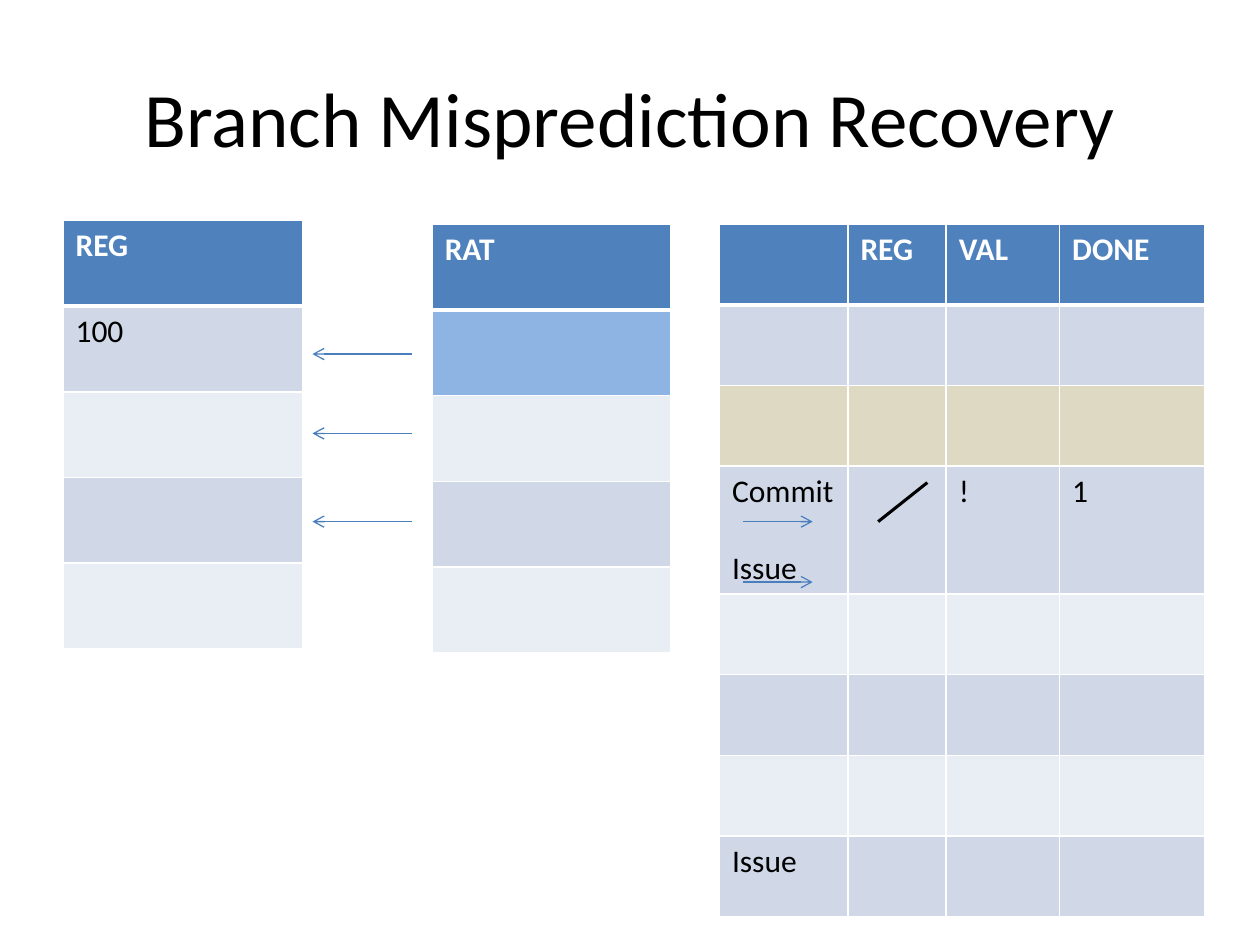
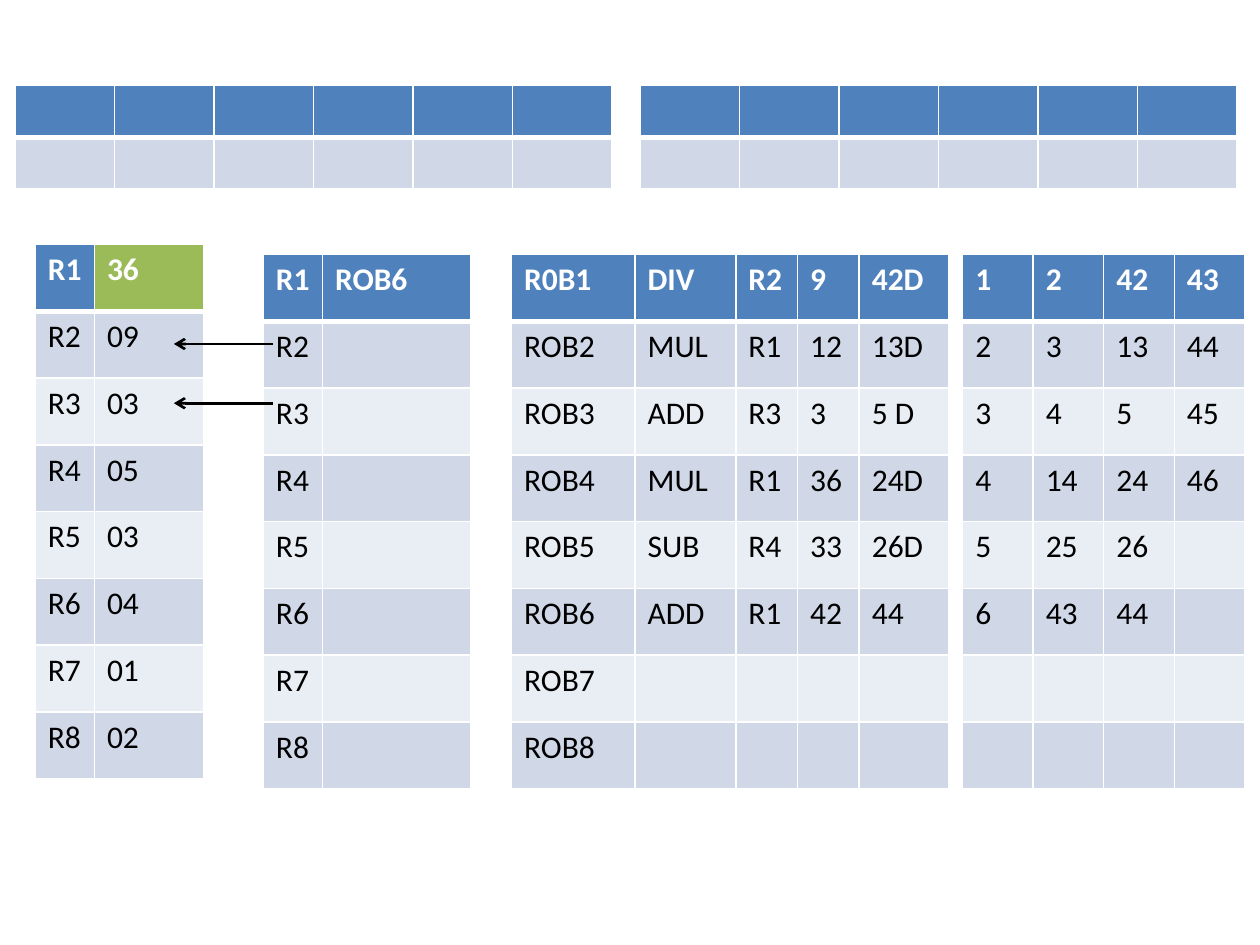
"""Build two slides on branch misprediction recovery with register tables."""
from dataclasses import dataclass, field
from itertools import zip_longest

from lxml import etree
from pptx import Presentation
from pptx import util as u
from pptx.dml.color import RGBColor
from pptx.enum import shapes, text
from pptx.oxml.ns import qn
from pptx.slide import Slide

FONT = "Calibri"
BLACK, WHITE = "000000", "FFFFFF"
HEADER, BAND_DARK, BAND_LIGHT = "4F81BD", "D0D8E8", "E9EDF4"
RENAMED, SQUASHED, WRITTEN = "8EB4E3", "DDD9C3", "9BBB59"
POINTER = "4B7EBC"


@dataclass(frozen=True)
class Grid:
    left: float
    top: float
    columns: tuple[float, ...]
    row_height: float
    rows: list[tuple[str, ...]]
    highlights: dict[tuple[int, int], str] = field(default_factory=dict)


@dataclass(frozen=True)
class Stroke:
    start: tuple[float, float]
    end: tuple[float, float]
    color: str = POINTER
    width: float = 0.75
    arrow: bool = True


def rgb(color: str) -> RGBColor:
    return RGBColor.from_string(color)


def style_text(frame, size: float, color: str, bold: bool = False) -> None:
    for paragraph in frame.paragraphs:
        for run in paragraph.runs:
            run.font.name = FONT
            run.font.size = u.Pt(size)
            run.font.bold = bold
            run.font.color.rgb = rgb(color)


def set_borders(cell, top: float, bottom: float) -> None:
    properties = cell._tc.get_or_add_tcPr()
    sides = {"lnL": 1, "lnR": 1, "lnT": top, "lnB": bottom}
    for position, (side, width) in enumerate(sides.items()):
        border = etree.Element(qn(f"a:{side}"), w=str(u.Pt(width)))
        fill = etree.SubElement(border, qn("a:solidFill"))
        etree.SubElement(fill, qn("a:srgbClr"), val=WHITE)
        properties.insert(position, border)


def draw_grid(slide: Slide, grid: Grid) -> None:
    row_count, column_count = len(grid.rows), len(grid.columns)
    table = slide.shapes.add_table(
        row_count, column_count, u.Inches(grid.left), u.Inches(grid.top),
        u.Inches(sum(grid.columns)), u.Inches(grid.row_height * row_count)).table
    table.horz_banding = False
    for column, width in zip(table.columns, grid.columns):
        column.width = u.Inches(width)
    for r, entries in enumerate(grid.rows):
        table.rows[r].height = u.Inches(grid.row_height)
        is_header = r == 0
        band = HEADER if is_header else (BAND_LIGHT, BAND_DARK)[r % 2]
        for c, (_, entry) in enumerate(zip_longest(grid.columns, entries, fillvalue="")):
            cell = table.cell(r, c)
            cell.fill.solid()
            cell.fill.fore_color.rgb = rgb(grid.highlights.get((r, c), band))
            set_borders(cell, 3 if r == 1 else 1, 3 if is_header else 1)
            if entry:
                cell.text_frame.text = entry
                style_text(cell.text_frame, 18, WHITE if is_header else BLACK, is_header)
                for later in cell.text_frame.paragraphs[1:]:
                    later.space_before = u.Pt(22)


def draw_stroke(slide: Slide, stroke: Stroke) -> None:
    points = [u.Inches(value) for value in (*stroke.start, *stroke.end)]
    connector = slide.shapes.add_connector(shapes.MSO_CONNECTOR.STRAIGHT, *points)
    connector.line.color.rgb = rgb(stroke.color)
    connector.line.width = u.Pt(stroke.width)
    if stroke.arrow:
        etree.SubElement(connector.line._get_or_add_ln(), qn("a:tailEnd"), type="arrow")
    etree.SubElement(connector._element.spPr, qn("a:effectLst"))


def draw_title(slide: Slide, wording: str) -> None:
    frame = slide.shapes.add_textbox(
        u.Inches(0.5), u.Inches(0.3), u.Inches(9), u.Inches(1.25)).text_frame
    frame.word_wrap = True
    frame.vertical_anchor = text.MSO_ANCHOR.MIDDLE
    frame.text = wording
    frame.paragraphs[0].alignment = text.PP_ALIGN.CENTER
    style_text(frame, 44, BLACK)


def add_slide(deck, grids: list[Grid], strokes: list[Stroke]) -> Slide:
    slide = deck.slides.add_slide(deck.slide_layouts[6])
    for grid in grids:
        draw_grid(slide, grid)
    for stroke in strokes:
        draw_stroke(slide, stroke)
    return slide


def add_recovery(deck) -> None:
    registers = Grid(0.5, 1.75, (1.9,), 0.68, [("REG",), ("100",), (), (), ()])
    alias_table = Grid(3.43, 1.78, (1.89,), 0.68, [("RAT",), (), (), (), ()],
                       {(1, 0): RENAMED})
    reorder_buffer = Grid(
        5.71, 1.78, (1.02, 0.78, 0.9, 1.15), 0.64,
        [("", "REG", "VAL", "DONE"), (), (), ("Commit\nIssue", "", "!", "1"),
         (), (), (), ("Issue",)],
        {(2, column): SQUASHED for column in range(4)})
    queue_pointers = [Stroke((5.9, y), (6.45, y)) for y in (4.14, 4.62)]
    alias_pointers = [Stroke((3.27, y), (2.48, y)) for y in (2.81, 3.44, 4.14)]
    strike = Stroke((6.97, 4.14), (7.36, 3.83), BLACK, 1.75, arrow=False)
    slide = add_slide(deck, [registers, alias_table, reorder_buffer],
                      [*queue_pointers, strike, *alias_pointers])
    draw_title(slide, "Branch Misprediction Recovery")


def add_worked_example(deck) -> None:
    stations = [Grid(left, 0.68, (0.79,) * 6, 0.41, [(), ()]) for left in (0.12, 5.08)]
    names = [f"R{number}" for number in range(1, 9)]
    values = ("36", "09", "03", "05", "03", "04", "01", "02")
    registers = Grid(0.28, 1.94, (0.47, 0.87), 0.53, list(zip(names, values)),
                     {(0, 1): WRITTEN})
    alias_table = Grid(2.09, 2.02, (0.47, 1.18), 0.53,
                       [("R1", "ROB6"), *((name,) for name in names[1:])])
    reorder_buffer = Grid(4.06, 2.02, (0.98, 0.8, 0.49, 0.49, 0.71), 0.53, [
        ("R0B1", "DIV", "R2", "9", "42D"),
        ("ROB2", "MUL", "R1", "12", "13D"),
        ("ROB3", "ADD", "R3", "3", "5 D"),
        ("ROB4", "MUL", "R1", "36", "24D"),
        ("ROB5", "SUB", "R4", "33", "26D"),
        ("ROB6", "ADD", "R1", "42", "44"),
        ("ROB7",),
        ("ROB8",),
    ])
    cycles = Grid(7.64, 2.02, (0.56,) * 4, 0.53, [
        ("1", "2", "42", "43"),
        ("2", "3", "13", "44"),
        ("3", "4", "5", "45"),
        ("4", "14", "24", "46"),
        ("5", "25", "26"),
        ("6", "43", "44"),
        (),
        (),
    ])
    alias_pointers = [Stroke((2.17, y), (1.38, y), BLACK, 1.5) for y in (3.2, 2.73)]
    add_slide(deck, [*stations, registers, alias_table, reorder_buffer, cycles],
              alias_pointers)


def main() -> None:
    deck = Presentation()
    deck.slide_width, deck.slide_height = u.Inches(10), u.Inches(7.5)
    add_recovery(deck)
    add_worked_example(deck)
    deck.save("out.pptx")


if __name__ == "__main__":
    main()
